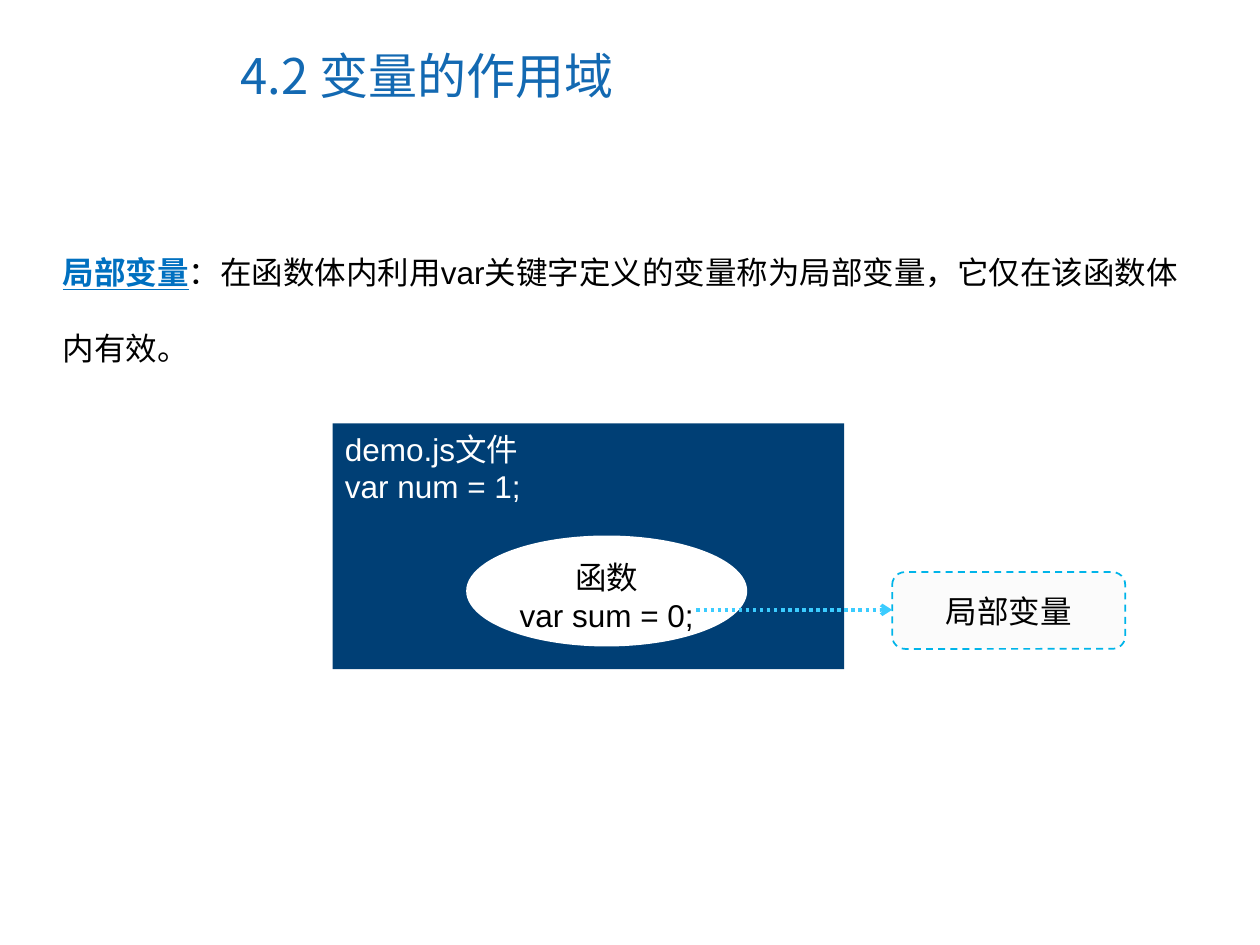
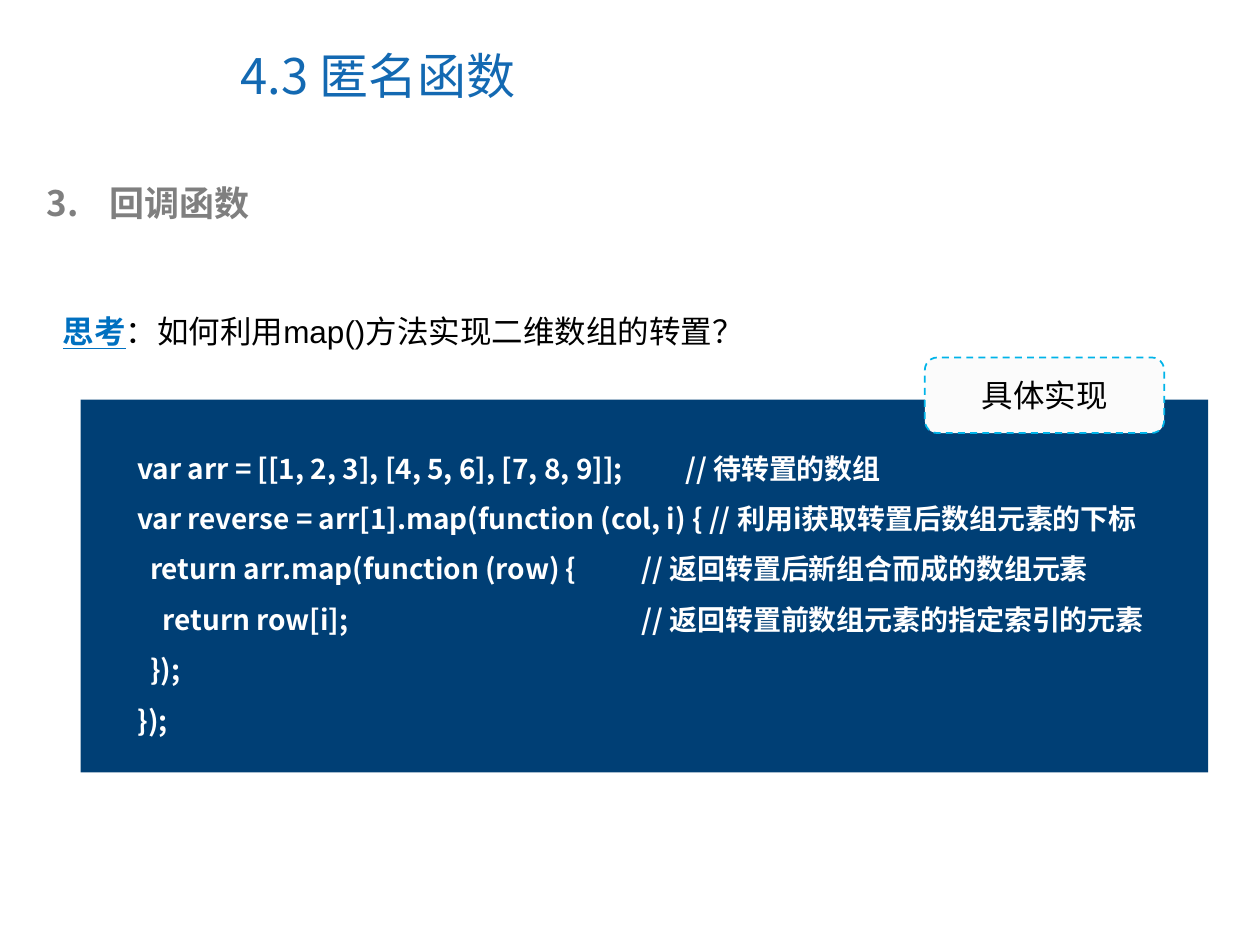
from lxml.etree import SubElement
from pptx import Presentation
from pptx.dml.color import RGBColor
from pptx.enum.dml import MSO_LINE_DASH_STYLE as Dash
from pptx.enum.shapes import MSO_CONNECTOR as Connector, MSO_SHAPE as Shape
from pptx.enum.text import MSO_ANCHOR as Anchor, MSO_AUTO_SIZE as AutoSize, PP_ALIGN as Align
from pptx.oxml.ns import qn
from pptx.util import Pt

TITLE_BLUE = RGBColor(0x13, 0x69, 0xB2)
TERM_BLUE = RGBColor(0x00, 0x70, 0xC0)
NAVY = RGBColor(0x00, 0x3F, 0x75)
CALLOUT_EDGE = RGBColor(0x00, 0xB4, 0xE9)
ARROW_BLUE = RGBColor(0x3B, 0xCC, 0xFF)
PALE = RGBColor(0xFB, 0xFB, 0xFB)
GREY = RGBColor(0x7F, 0x7F, 0x7F)
BLACK = RGBColor(0, 0, 0)
WHITE = RGBColor(0xFF, 0xFF, 0xFF)

CJK_FONT = "Noto Sans CJK SC"
LATIN_FONT = "Arial"
TITLE_ONLY, TITLE_AND_BODY = 5, 1

TRANSPOSE_CODE = [
    ("var arr = [[1, 2, 3], [4, 5, 6], [7, 8, 9]];\t// 待转置的数组", 313),
    ("var reverse = arr[1].map(function (col, i) { // 利用i获取转置后数组元素的下标", None),
    ("  return arr.map(function (row) {\t// 返回转置后新组合而成的数组元素", 288),
    ("    return row[i];\t// 返回转置前数组元素的指定索引的元素", 288),
    ("  });", None),
    ("});", None),
]


def place(shape, left, top, width, height):
    shape.left, shape.top = Pt(left), Pt(top)
    shape.width, shape.height = Pt(width), Pt(height)


def style_run(run, size, color, font=LATIN_FONT, bold=False, underline=False):
    run.font.name = font
    SubElement(run.font._element, qn("a:ea"), typeface=CJK_FONT)
    run.font.size = Pt(size)
    run.font.color.rgb = color
    run.font.bold = bold
    run.font.underline = underline


def style_text(frame, align, size, color, **font_style):
    for paragraph in frame.paragraphs:
        paragraph.alignment = align
        for run in paragraph.runs:
            style_run(run, size, color, **font_style)


def add_titled_slide(deck, layout, title_text):
    slide = deck.slides.add_slide(deck.slide_layouts[layout])
    title = slide.shapes.title
    place(title, 130.3, 12.2, 371.5, 61.2)
    frame = title.text_frame
    frame.text = title_text
    frame.auto_size = AutoSize.NONE
    frame.vertical_anchor = Anchor.MIDDLE
    style_text(frame, Align.LEFT, 28, TITLE_BLUE, font=CJK_FONT)
    return slide


def add_section_heading(slide, number, heading_text):
    heading = slide.placeholders[1]
    place(heading, 19.4, 100, 664, 31.7)
    frame = heading.text_frame
    frame.text = heading_text
    frame.auto_size = AutoSize.NONE
    paragraph = frame.paragraphs[0]
    paragraph.space_before = Pt(0)
    props = paragraph._p.get_or_add_pPr()
    props.set("marL", str(Pt(36)))
    props.set("indent", str(-Pt(36)))
    bullet_color = SubElement(props, qn("a:buClr"))
    SubElement(bullet_color, qn("a:srgbClr"), val=str(GREY))
    SubElement(props, qn("a:buFont"), typeface=CJK_FONT)
    SubElement(props, qn("a:buAutoNum"), type="arabicPeriod", startAt=str(number))
    style_text(frame, Align.LEFT, 20, GREY, font=CJK_FONT, bold=True)


def add_text_area(slide, left, top, width, height):
    area = slide.shapes.add_textbox(Pt(left), Pt(top), Pt(width), Pt(height))
    area.text_frame.word_wrap = True
    return area.text_frame


def add_statement(slide, top, height, term, statement):
    paragraph = add_text_area(slide, 28.8, top, 661.7, height).paragraphs[0]
    paragraph.line_spacing = 2.0
    for text, color, is_term in ((term, TERM_BLUE, True), (statement, BLACK, False)):
        run = paragraph.add_run()
        run.text = text
        style_run(run, 18, color, bold=is_term, underline=is_term)


def add_block(slide, kind, left, top, width, height, fill, text="",
              color=BLACK, align=Align.CENTER, anchor=Anchor.TOP, side_inset=7.2):
    block = slide.shapes.add_shape(kind, Pt(left), Pt(top), Pt(width), Pt(height))
    block.shadow.inherit = False
    block.fill.solid()
    block.fill.fore_color.rgb = fill
    block.line.fill.background()
    frame = block.text_frame
    frame.vertical_anchor = anchor
    frame.margin_left = frame.margin_right = Pt(side_inset)
    if text:
        frame.text = text
        style_text(frame, align, 18, color)
    return block


def add_callout(slide, left, top, width, height, text):
    callout = add_block(slide, Shape.ROUNDED_RECTANGLE, left, top, width, height,
                        PALE, text, anchor=Anchor.MIDDLE)
    callout.line.color.rgb = CALLOUT_EDGE
    callout.line.width = Pt(1)
    callout.line.dash_style = Dash.DASH


def add_dotted_arrow(slide, start, end, y):
    arrow = slide.shapes.add_connector(Connector.STRAIGHT, Pt(start), Pt(y), Pt(end), Pt(y))
    arrow.line.color.rgb = ARROW_BLUE
    arrow.line.width = Pt(2)
    arrow.line.dash_style = Dash.ROUND_DOT
    SubElement(arrow.line._get_or_add_ln(), qn("a:tailEnd"), type="arrow")
    SubElement(arrow._element.spPr, qn("a:effectLst"))


def add_code(slide, left, top, width, height, code_lines):
    frame = add_text_area(slide, left, top, width, height)
    frame.text = "\n".join(text for text, _ in code_lines)
    for paragraph, (_, comment_stop) in zip(frame.paragraphs, code_lines):
        paragraph.line_spacing = 1.5
        if comment_stop:
            tabs = SubElement(paragraph._p.get_or_add_pPr(), qn("a:tabLst"))
            SubElement(tabs, qn("a:tab"), pos=str(Pt(comment_stop)), algn="l")
    style_text(frame, Align.LEFT, 16, WHITE, font=CJK_FONT, bold=True)


def build_scope_slide(deck):
    slide = add_titled_slide(deck, TITLE_ONLY, "4.2 变量的作用域")
    add_statement(slide, 119.5, 93.6, "局部变量",
                  "：在函数体内利用var关键字定义的变量称为局部变量，它仅在该函数体内有效。")
    add_block(slide, Shape.RECTANGLE, 190, 242, 292.4, 140.4, NAVY,
              "demo.js文件\nvar num = 1;", WHITE, Align.LEFT)
    add_block(slide, Shape.OVAL, 266.4, 306, 160.6, 63.4, WHITE,
              "函数\nvar sum = 0;", side_inset=0)
    add_callout(slide, 509.8, 326.9, 133.2, 43.9, "局部变量")
    add_dotted_arrow(slide, 398, 509.8, 348.5)


def build_callback_slide(deck):
    slide = add_titled_slide(deck, TITLE_AND_BODY, "4.3 匿名函数")
    add_section_heading(slide, 3, "回调函数")
    add_statement(slide, 153.4, 50.4, "思考", "：如何利用map()方法实现二维数组的转置？")
    add_block(slide, Shape.RECTANGLE, 46, 228.4, 644.4, 213, NAVY)
    add_code(slide, 71.5, 244.8, 613.4, 180, TRANSPOSE_CODE)
    add_callout(slide, 528.5, 204.3, 136.8, 43.2, "具体实现")


def main():
    deck = Presentation()
    deck.slide_width, deck.slide_height = Pt(720), Pt(540)
    build_scope_slide(deck)
    build_callback_slide(deck)
    deck.save("out.pptx")


if __name__ == "__main__":
    main()
